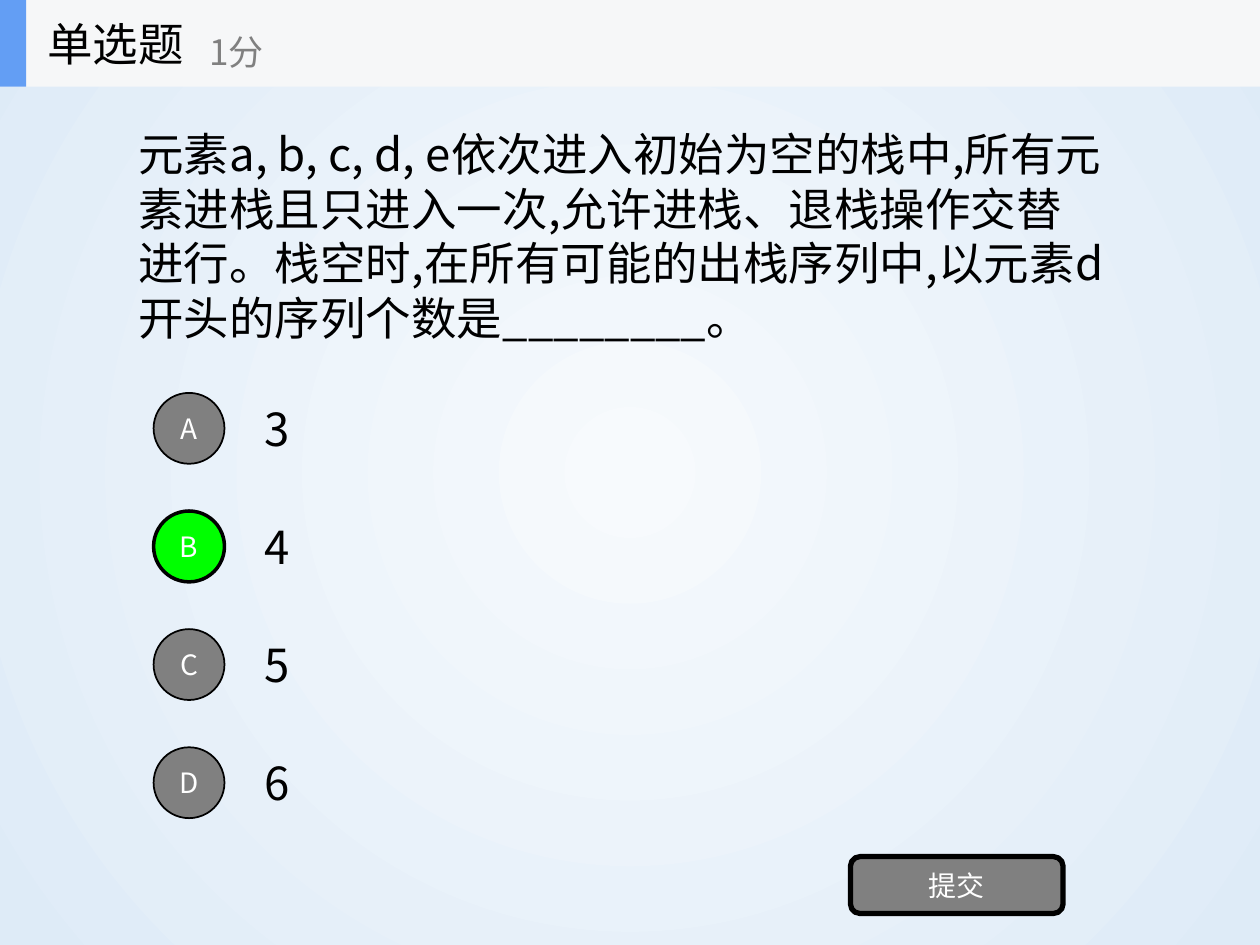
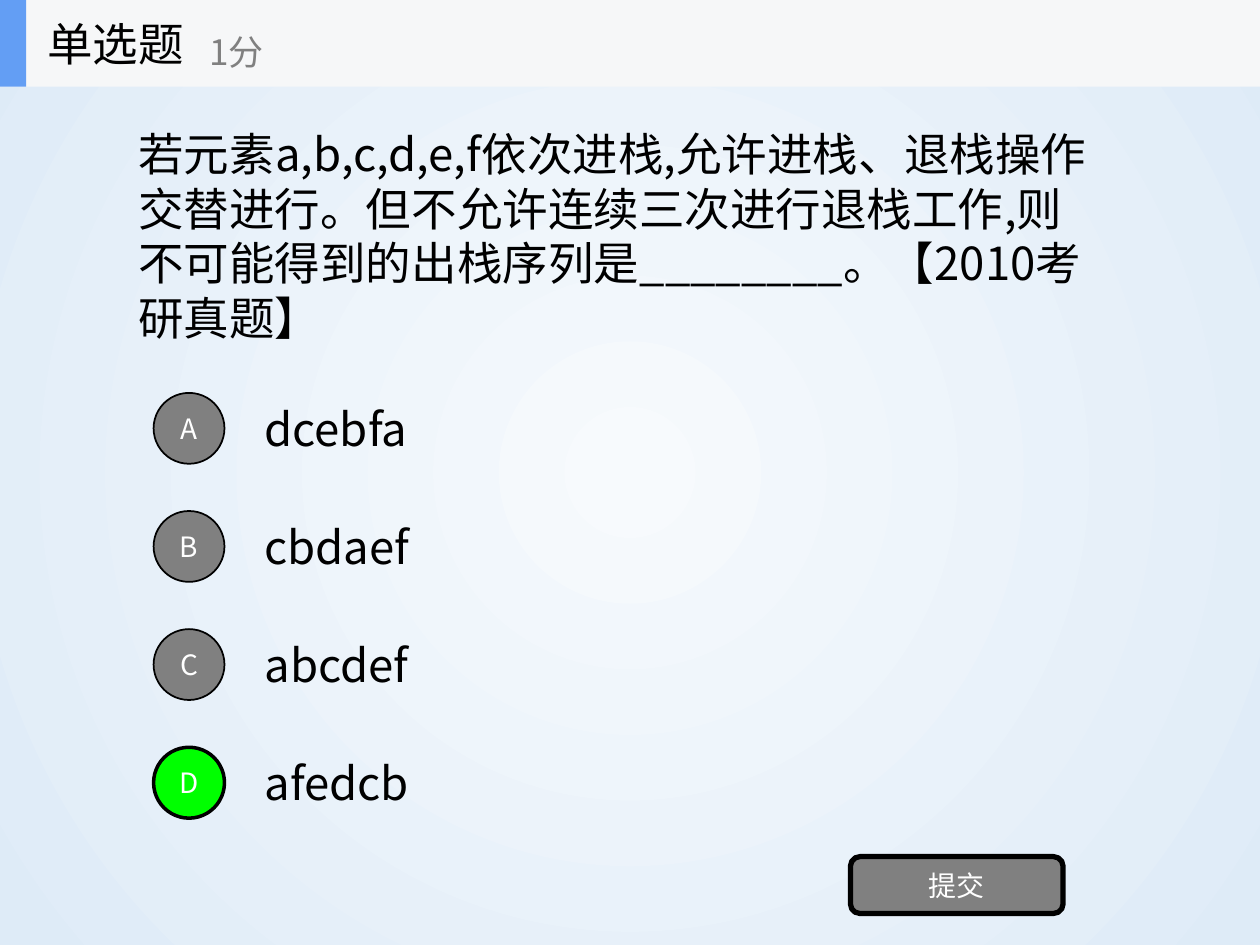
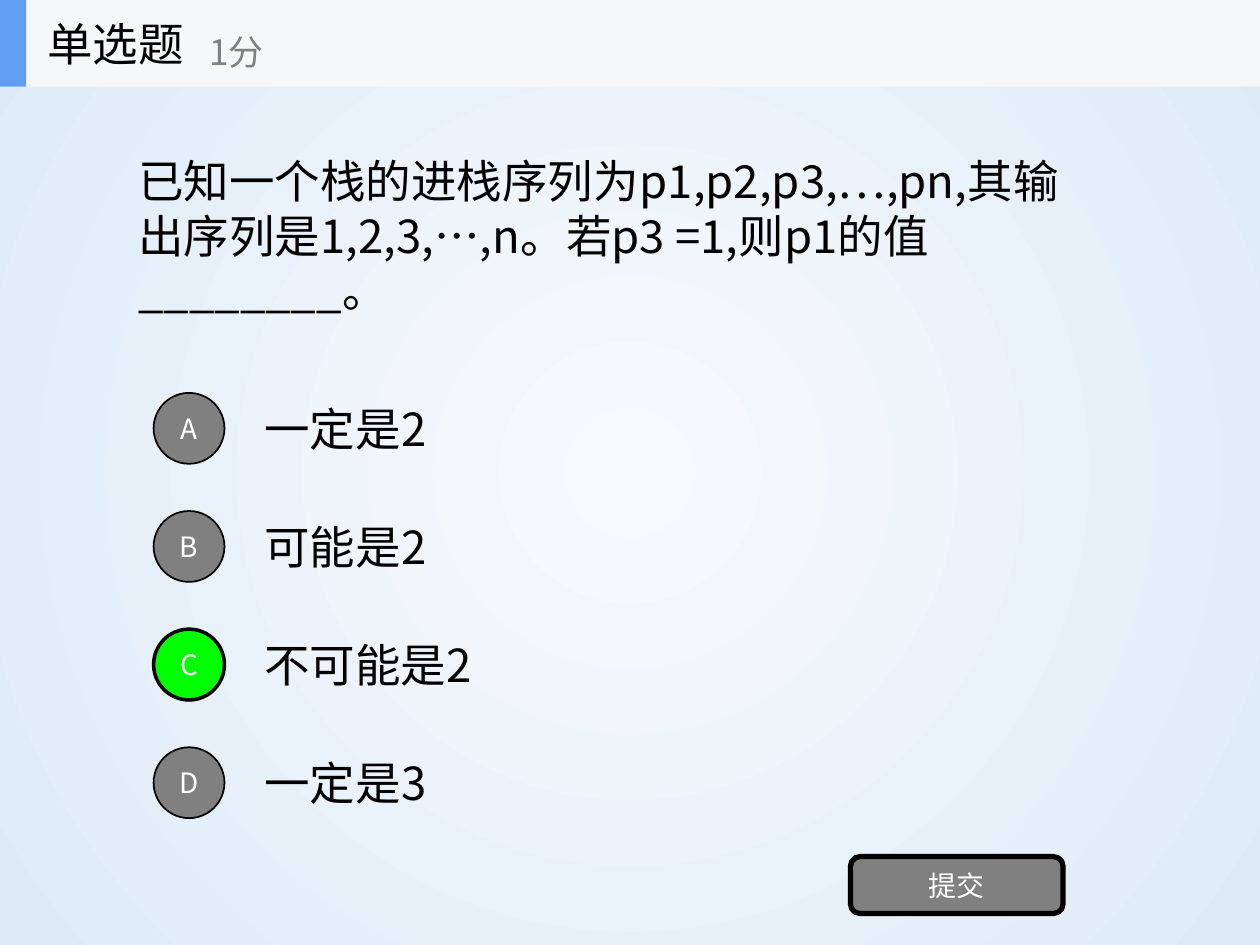
from dataclasses import dataclass
from typing import Optional, Union

from lxml.etree import SubElement
from pptx import Presentation
from pptx.dml.color import RGBColor
from pptx.enum.shapes import MSO_SHAPE as Preset
from pptx.enum.text import MSO_ANCHOR as Anchor, MSO_AUTO_SIZE as AutoSize, PP_ALIGN as Align
from pptx.oxml.ns import qn
from pptx.shapes.autoshape import Shape
from pptx.shapes.shapetree import GroupShapes, SlideShapes
from pptx.slide import Slide, SlideMaster
from pptx.util import Pt

ShapeTree = Union[SlideShapes, GroupShapes]

FONT = "Noto Sans CJK SC"
COLORS = {
    "glow": "F7FAFD",
    "sky": "DEEBF7",
    "band": "F6F7F8",
    "accent": "639EF4",
    "ink": "000000",
    "muted": "808080",
    "correct": "00FF00",
    "white": "FFFFFF",
}
SLIDE_WIDTH, SLIDE_HEIGHT = 720, 540
BAND_HEIGHT = 49.5
BODY_SIZE, SCORE_SIZE, LABEL_SIZE = 26, 20, 16
BADGE_LEFT, BADGE_TOP, BADGE_SIZE = 87.75, 224.5, 40.5
ANSWER_LEFT, ANSWER_HEIGHT = 144, 38.25
OPTION_PITCH = 67.5


@dataclass(frozen=True)
class Box:
    left: float
    top: float
    width: float
    height: float

    def emu(self) -> tuple[Pt, Pt, Pt, Pt]:
        return Pt(self.left), Pt(self.top), Pt(self.width), Pt(self.height)


@dataclass(frozen=True)
class Option:
    answer: str
    width: float


@dataclass(frozen=True)
class Question:
    prompt: str
    box: Box
    options: tuple[Option, ...]
    correct: str


QUESTIONS = (
    Question(
        "元素a, b, c, d, e依次进入初始为空的栈中,所有元素进栈且只进入一次,"
        "允许进栈、退栈操作交替进行。栈空时,在所有可能的出栈序列中,"
        "以元素d开头的序列个数是________。",
        Box(72, 68.5, 568, 131.75),
        tuple(Option(answer, 29.5) for answer in "3456"),
        "B",
    ),
    Question(
        "若元素a,b,c,d,e,f依次进栈,允许进栈、退栈操作交替进行。"
        "但不允许连续三次进行退栈工作,则不可能得到的出栈序列是________。"
        "【2010考研真题】",
        Box(72, 68.5, 566.5, 131.75),
        tuple(Option(answer, 98.5) for answer in ("dcebfa", "cbdaef", "abcdef", "afedcb")),
        "D",
    ),
    Question(
        "已知一个栈的进栈序列为p1,p2,p3,…,pn,其输出序列是1,2,3,…,n。"
        "若p3 =1,则p1的值________。",
        Box(72, 99.5, 561.5, 69.75),
        (
            Option("一定是2", 108),
            Option("可能是2", 108),
            Option("不可能是2", 134),
            Option("一定是3", 108),
        ),
        "C",
    ),
)


def rgb(color: str) -> RGBColor:
    return RGBColor.from_string(COLORS[color])


def write(shape: Shape, text: str, size: float, color: str, align: Optional[Align] = None) -> None:
    frame = shape.text_frame
    frame.text = text
    frame.vertical_anchor = Anchor.MIDDLE
    paragraph = frame.paragraphs[0]
    paragraph.alignment = align
    for run in paragraph.runs:
        run.font.size = Pt(size)
        run.font.name = FONT
        run.font.color.rgb = rgb(color)
    for properties in shape.element.iter(qn("a:rPr")):
        SubElement(properties, qn("a:ea"), typeface=FONT)


def add_text(shapes: ShapeTree, box: Box, text: str, size: float = BODY_SIZE,
             color: str = "ink", wrap: bool = True) -> None:
    holder = shapes.add_textbox(*box.emu())
    write(holder, text, size, color)
    holder.text_frame.word_wrap = wrap
    holder.text_frame.auto_size = AutoSize.SHAPE_TO_FIT_TEXT if wrap else AutoSize.NONE


def add_block(shapes: ShapeTree, preset: Preset, box: Box, fill: str,
              border: float = 0, label: str = "") -> None:
    block = shapes.add_shape(preset, *box.emu())
    block.shadow.inherit = False
    block.fill.solid()
    block.fill.fore_color.rgb = rgb(fill)
    if border:
        block.line.color.rgb = rgb("ink")
        block.line.width = Pt(border)
    else:
        block.line.fill.background()
    if label:
        write(block, label, LABEL_SIZE, "white", Align.CENTER)


def set_background(master: SlideMaster) -> None:
    fill = master.background.fill
    fill.gradient()
    for stop, color, position in zip(fill.gradient_stops, ("glow", "sky"), (0, 1)):
        stop.color.rgb = rgb(color)
        stop.position = position
    linear = next(master.element.iter(qn("a:lin")))
    gradient = linear.getparent()
    gradient.remove(linear)
    circle = SubElement(gradient, qn("a:path"), path="circle")
    SubElement(circle, qn("a:fillToRect"), dict.fromkeys("ltrb", "50000"))


def add_header(slide: Slide) -> None:
    header = slide.shapes.add_group_shape().shapes
    add_block(header, Preset.RECTANGLE, Box(0, 0, SLIDE_WIDTH, BAND_HEIGHT), "band")
    add_block(header, Preset.RECTANGLE, Box(0, 0, 15, BAND_HEIGHT), "accent")
    add_text(header, Box(20, 0, 150, BAND_HEIGHT), "单选题", wrap=False)
    add_text(header, Box(112.5, 9, 180, 40.5), "1分", SCORE_SIZE, "muted", wrap=False)


def add_option(slide: Slide, row: int, letter: str, option: Option, is_correct: bool) -> None:
    top = BADGE_TOP + row * OPTION_PITCH
    add_text(slide.shapes, Box(ANSWER_LEFT, top + 1, option.width, ANSWER_HEIGHT), option.answer)
    add_block(slide.shapes, Preset.OVAL, Box(BADGE_LEFT, top, BADGE_SIZE, BADGE_SIZE),
              "correct" if is_correct else "muted", 2 if is_correct else 1, letter)


def add_question(slide: Slide, question: Question) -> None:
    add_text(slide.shapes, question.box, question.prompt)
    for row, (letter, option) in enumerate(zip("ABCD", question.options)):
        add_option(slide, row, letter, option, letter == question.correct)
    add_block(slide.shapes, Preset.ROUNDED_RECTANGLE, Box(486, 489.5, 121.5, 32.5),
              "muted", 3, "提交")
    add_header(slide)


def main() -> None:
    quiz = Presentation()
    quiz.slide_width, quiz.slide_height = Pt(SLIDE_WIDTH), Pt(SLIDE_HEIGHT)
    set_background(quiz.slide_master)
    blank = quiz.slide_layouts[6]
    for question in QUESTIONS:
        add_question(quiz.slides.add_slide(blank), question)
    quiz.save("out.pptx")


if __name__ == "__main__":
    main()
